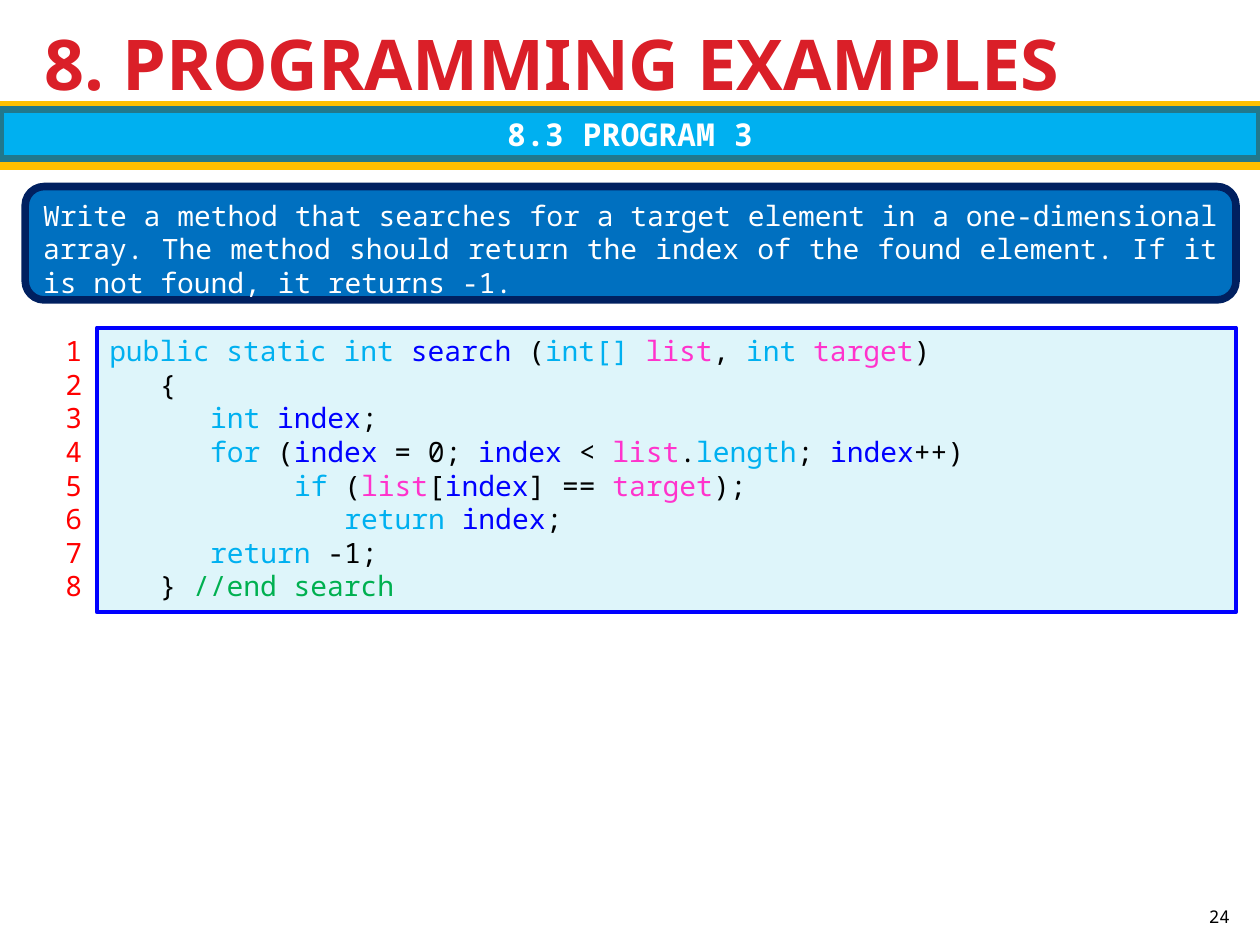
"""Build the slide on searching a one-dimensional array."""
import dataclasses
import typing

import pptx
import pptx.dml.color
import pptx.enum.shapes
import pptx.enum.text
import pptx.oxml.ns
import pptx.util

Pt = pptx.util.Pt
ALIGN = pptx.enum.text.PP_ALIGN
ANCHOR = pptx.enum.text.MSO_ANCHOR
SHAPE = pptx.enum.shapes.MSO_SHAPE
FIT = pptx.enum.text.MSO_AUTO_SIZE


@dataclasses.dataclass(frozen=True)
class Theme:
    heading_font: str = "Noto Sans"
    code_font: str = "Noto Sans Mono"
    title_size: float = 40
    section_size: float = 18
    code_size: float = 16
    footer_size: float = 10
    title: str = "DA1F28"
    rule: str = "FFC000"
    band: str = "00B0F0"
    band_edge: str = "21788D"
    task: str = "0070C0"
    task_edge: str = "002060"
    panel: str = "DEF5FA"
    panel_edge: str = "0000FF"
    white: str = "FFFFFF"
    plain: str = "000000"
    keyword: str = "00B0F0"
    name: str = "0000FF"
    parameter: str = "FF33CC"
    comment: str = "00B050"
    number: str = "FF0000"


THEME = Theme()


class Span(typing.NamedTuple):
    text: str
    color: str


class Line(typing.NamedTuple):
    spans: list[Span]
    indent: int = 0


@dataclasses.dataclass(frozen=True)
class Box:
    left: float
    top: float
    width: float
    height: float
    fill: str = ""
    edge: str = ""
    edge_width: float = 0
    outline: SHAPE = SHAPE.RECTANGLE


@dataclasses.dataclass(frozen=True)
class Style:
    size: float = THEME.code_size
    font: str = THEME.code_font
    bold: bool = False
    align: ALIGN = ALIGN.LEFT
    anchor: ANCHOR = ANCHOR.TOP
    fit: FIT = FIT.NONE


PAGE_WIDTH, PAGE_HEIGHT = 720, 540
CHARACTER_WIDTH = 0.6 * THEME.code_size
RULE_TOPS = (60.5, 94.3)
TITLE = Box(18, 12.2, 681.8, 46.8)
PAGE_NUMBER = Box(681.1, 504.7, 28.8, 28.8)
BAND = Box(0, 62.6, PAGE_WIDTH, 28.1, THEME.band, THEME.band_edge, 4.33)
TASK = Box(14.4, 106.6, 691.9, 64.8, THEME.task, THEME.task_edge, 4.33, SHAPE.ROUNDED_RECTANGLE)
CODE = Box(55.4, 187.2, 650.9, 162.7, THEME.panel, THEME.panel_edge, 2.25)
NUMBERS = Box(14.4, CODE.top, 39.6, CODE.height)

TASK_TEXT = (
    "Write a method that searches for a target element in a one-dimensional array. "
    "The method should return the index of the found element. "
    "If it is not found, it returns -1."
)
TOKEN_COLORS = {
    **dict.fromkeys(
        ("public static int", "int", "int[]", "for", "if", "return", "length"), THEME.keyword
    ),
    **dict.fromkeys(("search", "index"), THEME.name),
    **dict.fromkeys(("list", "target"), THEME.parameter),
    "//end search": THEME.comment,
}
SOURCE = (
    (0, "public static int |search |(|int[] |list|, |int |target|)"),
    (3, "{"),
    (6, "int |index|;"),
    (6, "for |(|index |= 0; |index |< |list|.|length|; |index|++)"),
    (11, "if| (|list|[|index|] == |target|);"),
    (14, "return |index|;"),
    (6, "return |-1;"),
    (3, "} |//end search"),
)


def rgb(color: str) -> pptx.dml.color.RGBColor:
    """Turn a hex string into a colour."""
    return pptx.dml.color.RGBColor.from_string(color)


def plain_line(text: str, color: str) -> list[Line]:
    """Make a single line in one colour."""
    return [Line([Span(text, color)])]


def code_line(indent: int, source: str) -> Line:
    """Colour the tokens of a source line by their role."""
    tokens = source.split("|")
    return Line([Span(t, TOKEN_COLORS.get(t.strip(), THEME.plain)) for t in tokens], indent)


def set_all(target: typing.Any, values: dict[str, typing.Any]) -> None:
    """Set every attribute named in the values."""
    for attribute, value in values.items():
        setattr(target, attribute, value)


def write(shape: typing.Any, lines: list[Line], style: Style) -> None:
    """Fill a shape with styled lines."""
    frame = shape.text_frame
    frame_format = {"word_wrap": True, "auto_size": style.fit, "vertical_anchor": style.anchor}
    font_format = {"size": Pt(style.size), "name": style.font, "bold": style.bold}
    set_all(frame, frame_format)
    for position, line in enumerate(lines):
        para = frame.add_paragraph() if position else frame.paragraphs[0]
        para.alignment = style.align
        if line.indent:
            margin = Pt(line.indent * CHARACTER_WIDTH)
            para._p.get_or_add_pPr().set("marL", str(int(margin)))
        for text, color in line.spans:
            span = para.add_run()
            span.text = text
            set_all(span.font, font_format)
            span.font.color.rgb = rgb(color)


def add_box(page: typing.Any, box: Box, lines: list[Line], style: Style) -> None:
    """Draw a filled shape or a bare text box with its text."""
    place = [Pt(v) for v in (box.left, box.top, box.width, box.height)]
    if box.fill:
        shape = page.shapes.add_shape(box.outline, *place)
        shape.shadow.inherit = False
        shape.fill.solid()
        shape.fill.fore_color.rgb = rgb(box.fill)
        shape.line.color.rgb = rgb(box.edge)
        shape.line.width = Pt(box.edge_width)
    else:
        shape = page.shapes.add_textbox(*place)
    write(shape, lines, style)


def add_rule(page: typing.Any, top: float) -> None:
    """Draw a rule across the page."""
    straight = pptx.enum.shapes.MSO_CONNECTOR.STRAIGHT
    rule = page.shapes.add_connector(straight, Pt(0), Pt(top), Pt(PAGE_WIDTH), Pt(top))
    rule.line.color.rgb = rgb(THEME.rule)
    rule.line.width = Pt(6)
    properties = rule._element.spPr
    properties.append(properties.makeelement(pptx.oxml.ns.qn("a:effectLst"), {}))


def main() -> None:
    """Build and save the deck."""
    deck = pptx.Presentation()
    set_all(deck, {"slide_width": Pt(PAGE_WIDTH), "slide_height": Pt(PAGE_HEIGHT)})
    page = deck.slides.add_slide(deck.slide_layouts.get_by_name("Title Only"))

    title = page.shapes.title
    set_all(title, {k: Pt(getattr(TITLE, k)) for k in ("left", "top", "width", "height")})
    title_style = Style(THEME.title_size, THEME.heading_font, True, anchor=ANCHOR.MIDDLE)
    write(title, plain_line("8. PROGRAMMING EXAMPLES", THEME.title), title_style)

    for top in RULE_TOPS:
        add_rule(page, top)

    centred = Style(THEME.section_size, bold=True, align=ALIGN.CENTER, anchor=ANCHOR.MIDDLE)
    footer = Style(THEME.footer_size, align=ALIGN.RIGHT, anchor=ANCHOR.BOTTOM)
    grow = FIT.SHAPE_TO_FIT_TEXT
    numbers = [Line([Span(str(n), THEME.number)]) for n in range(1, len(SOURCE) + 1)]
    add_box(page, PAGE_NUMBER, plain_line("24", THEME.plain), footer)
    add_box(page, BAND, plain_line("8.3 PROGRAM 3", THEME.white), centred)
    add_box(page, TASK, plain_line(TASK_TEXT, THEME.white), Style(align=ALIGN.JUSTIFY))
    add_box(page, CODE, [code_line(*entry) for entry in SOURCE], Style(fit=grow))
    add_box(page, NUMBERS, numbers, Style(align=ALIGN.RIGHT, fit=grow))
    deck.save("out.pptx")


if __name__ == "__main__":
    main()
